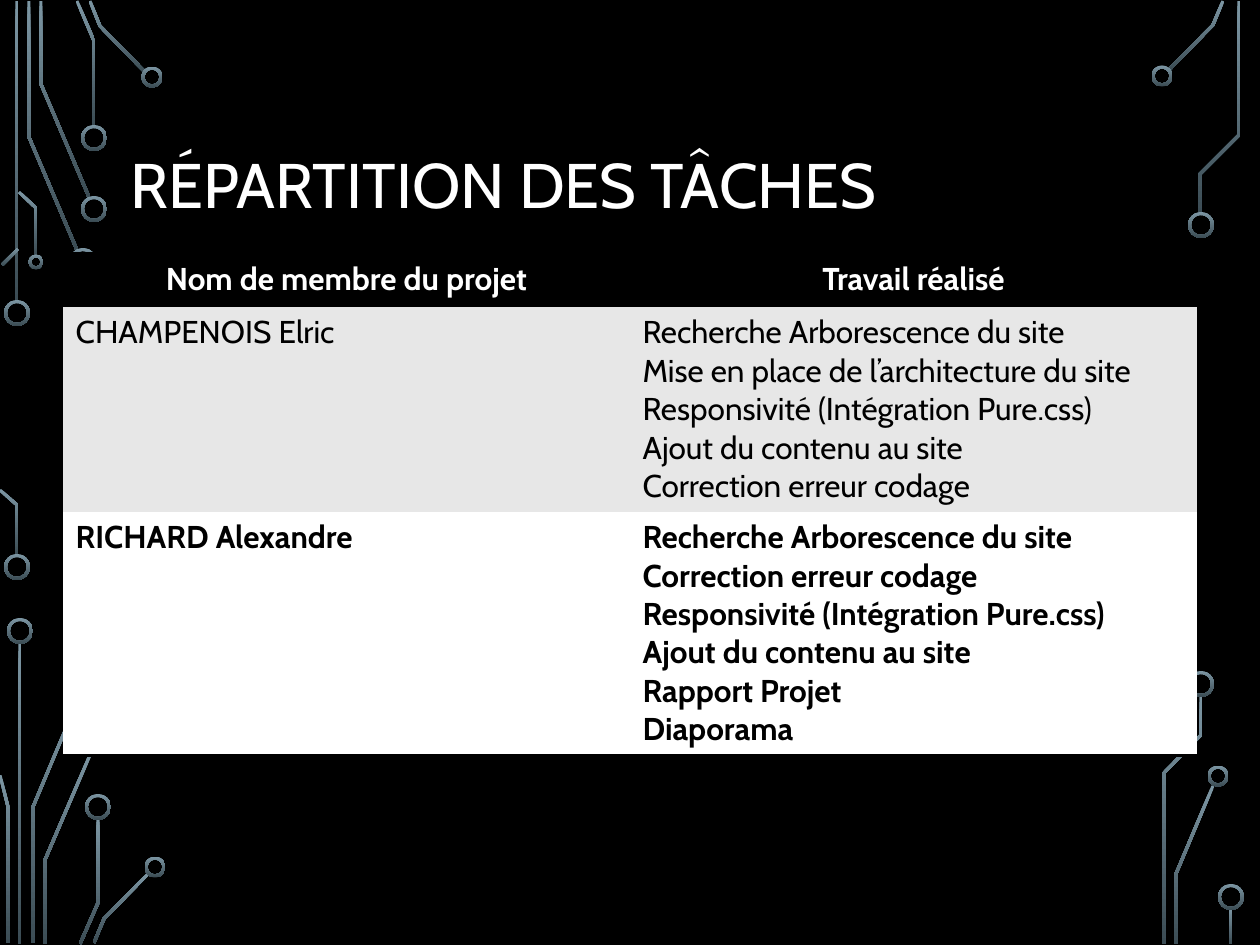
from math import hypot

from lxml import etree
from pptx import Presentation
from pptx.dml.color import RGBColor
from pptx.enum.shapes import MSO_SHAPE
from pptx.enum.text import MSO_ANCHOR, PP_ALIGN
from pptx.oxml.ns import qn
from pptx.util import Pt

DONUT = MSO_SHAPE.DONUT
MIDDLE = MSO_ANCHOR.MIDDLE
LEFT, CENTER = PP_ALIGN.LEFT, PP_ALIGN.CENTER

BLACK = RGBColor(0x00, 0x00, 0x00)
WHITE = RGBColor(0xFF, 0xFF, 0xFF)
GREY = RGBColor(0xE7, 0xE7, 0xE7)
TRACE_TOP = RGBColor(0x7C, 0x96, 0xA3)
TRACE_BOTTOM = RGBColor(0x3B, 0x4C, 0x54)
FONT = "Cabin"
NO_GRID_STYLE = "{2D5ABB26-0587-4C30-8999-92F81FD0307C}"
EMU_PER_PX = 914400 / 126

# Content
TITLE = "RÉPARTITION DES TÂCHES"
COLUMN_WIDTH = 567
TABLE_LEFT, TABLE_TOP = 63, 254
# cell paragraphs, fill, text colour, bold, alignment, row height
ROWS = [
    ((["Nom de membre du projet"], ["Travail réalisé"]), BLACK, WHITE, True, CENTER, 53),
    ((["CHAMPENOIS Elric"],
      ["Recherche Arborescence du site",
       "Mise en place de l’architecture du site",
       "Responsivité (Intégration Pure.css)",
       "Ajout du contenu au site",
       "Correction erreur codage"]), GREY, BLACK, False, LEFT, 203),
    ((["RICHARD Alexandre"],
      ["Recherche Arborescence du site",
       "Correction erreur codage",
       "Responsivité (Intégration Pure.css)",
       "Ajout du contenu au site",
       "Rapport Projet",
       "Diaporama"]), WHITE, BLACK, True, LEFT, 242),
]

# Circuit decoration: centre lines of the traces, then ring centres by diameter
STROKE = 3
TRACES = [
    [(17, 1), (17, 302)],
    [(77, 250), (29, 137), (29, 1)],
    [(89, 197), (41, 84), (41, 1)],
    [(94, 126), (94, 41), (77, 1)],
    [(145, 72), (100, 26), (90, 1)],
    [(2, 265), (18, 249)],
    [(17, 556), (17, 505), (0, 490)],
    [(36, 256), (36, 208), (19, 192)],
    [(20, 643), (20, 944)],
    [(33, 943), (33, 807), (80, 695)],
    [(8, 943), (8, 807), (0, 775)],
    [(45, 944), (45, 860), (93, 748)],
    [(80, 944), (98, 903), (98, 819)],
    [(94, 943), (104, 919), (149, 873)],
    [(1169, 70), (1213, 25), (1223, 1)],
    [(1176, 944), (1176, 874), (1213, 786)],
    [(1200, 213), (1200, 174), (1239, 135), (1239, 1)],
    [(1164, 944), (1164, 773), (1201, 735), (1201, 696)],
    [(1231, 908), (1231, 944)],
]
RINGS = {
    26: [(17, 313), (17, 567), (83, 261), (94, 209), (94, 138), (20, 631), (86, 684),
         (98, 736), (98, 807), (1201, 225), (1201, 684), (1231, 897)],
    21: [(152, 77), (155, 867), (1162, 76), (1218, 776)],
    15: [(36, 262)],
}


def px(value):
    return round(value * EMU_PER_PX)


def paint_trace(shape):
    shape.shadow.inherit = False
    shape.line.fill.background()
    shape.fill.gradient()
    shape.fill.gradient_angle = 270
    for stop, color, position in zip(shape.fill.gradient_stops,
                                     (TRACE_TOP, TRACE_BOTTOM), (0, 1)):
        stop.color.rgb = color
        stop.position = position


def band_outline(points, width):
    """Outline of a mitred band of the given width around a centre line."""
    normals = []
    for (x1, y1), (x2, y2) in zip(points, points[1:]):
        length = hypot(x2 - x1, y2 - y1)
        normals.append(((y1 - y2) / length, (x2 - x1) / length))
    one_side, other_side = [], []
    for (x, y), (ax, ay), (bx, by) in zip(points, normals[:1] + normals,
                                          normals + normals[-1:]):
        reach = width / 2 / (1 + ax * bx + ay * by)
        dx, dy = (ax + bx) * reach, (ay + by) * reach
        one_side.append((px(x + dx), px(y + dy)))
        other_side.append((px(x - dx), px(y - dy)))
    return one_side + other_side[::-1]


def add_circuit(page):
    for points in TRACES:
        outline = band_outline(points, STROKE)
        builder = page.shapes.build_freeform(*outline[0])
        builder.add_line_segments(outline[1:], close=True)
        paint_trace(builder.convert_to_shape())
    for size, centers in RINGS.items():
        for x, y in centers:
            ring = page.shapes.add_shape(DONUT, px(x - size / 2), px(y - size / 2),
                                         px(size), px(size))
            ring.adjustments[0] = STROKE / size
            paint_trace(ring)


def style_paragraph(para, size, color, bold, align):
    para.alignment = align
    for span in para.runs:
        span.font.name = FONT
        span.font.size = Pt(size)
        span.font.bold = bold
        span.font.color.rgb = color


def add_title(page):
    box = page.shapes.title
    page.shapes._spTree.append(box._element)  # in front of the circuit
    box.left, box.top, box.width, box.height = map(px, (118, 86, 1023, 204))
    box.text_frame.text = TITLE
    box.text_frame.word_wrap = True
    box.text_frame.vertical_anchor = MIDDLE
    para = box.text_frame.paragraphs[0]
    para.line_spacing = 0.9
    style_paragraph(para, 36, WHITE, False, LEFT)


def add_border(cell, side):
    border = etree.Element(qn("a:" + side), w=str(Pt(2)))
    fill = etree.SubElement(border, qn("a:solidFill"))
    etree.SubElement(fill, qn("a:srgbClr"), val=str(BLACK))
    cell._tc.get_or_add_tcPr().insert(0, border)


def add_task_table(page):
    frame = page.shapes.add_table(len(ROWS), 2, px(TABLE_LEFT), px(TABLE_TOP),
                                  px(2 * COLUMN_WIDTH), px(sum(row[-1] for row in ROWS)))
    table = frame.table
    table.horz_banding = False
    table._tbl.tblPr.find(qn("a:tableStyleId")).text = NO_GRID_STYLE
    for column in table.columns:
        column.width = px(COLUMN_WIDTH)
    for row, (texts, fill, color, bold, align, height) in zip(table.rows, ROWS):
        row.height = px(height)
        for cell, lines in zip(row.cells, texts):
            cell.text_frame.text = "\n".join(lines)
            for para in cell.text_frame.paragraphs:
                style_paragraph(para, 18, color, bold, align)
            cell.fill.solid()
            cell.fill.fore_color.rgb = fill
    for column in range(2):
        add_border(table.cell(0, column), "lnT")
        add_border(table.cell(len(ROWS) - 1, column), "lnB")


def main():
    deck = Presentation()
    deck.slide_width, deck.slide_height = px(1260), px(945)
    page = deck.slides.add_slide(deck.slide_layouts[5])
    page.background.fill.solid()
    page.background.fill.fore_color.rgb = BLACK
    add_circuit(page)
    add_title(page)
    add_task_table(page)
    deck.save("out.pptx")


if __name__ == "__main__":
    main()
